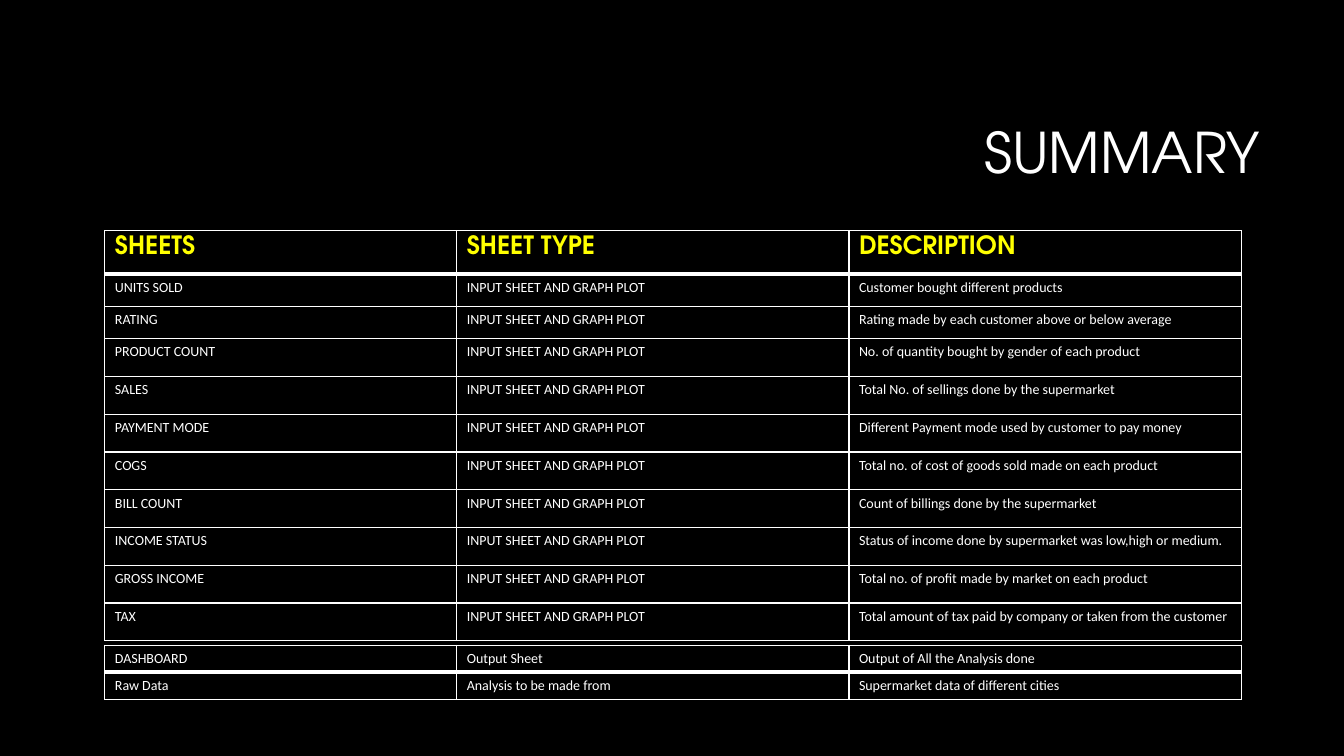
from lxml.etree import SubElement
from pptx import Presentation
from pptx.dml.color import RGBColor
from pptx.enum.text import MSO_ANCHOR, PP_ALIGN
from pptx.oxml.ns import qn
from pptx.util import Inches, Pt

BLACK, WHITE, YELLOW = "000000", "FFFFFF", "FFFF00"
HEADING_FONT, BODY_FONT = "TeX Gyre Adventor", "Calibri"
COLUMN_WIDTHS = [3.49, 3.89, 3.89]
INPUT_TYPE = "INPUT SHEET AND GRAPH PLOT"
HEADINGS = ("SHEETS", "SHEET TYPE", "DESCRIPTION")
INPUT_SHEETS = [
    ("UNITS SOLD", "Customer bought different products"),
    ("RATING", "Rating made by each customer above or below average"),
    ("PRODUCT COUNT", "No. of quantity bought by gender of each product"),
    ("SALES", "Total No. of sellings done by the supermarket"),
    ("PAYMENT MODE", "Different Payment mode used by customer to pay money"),
    ("COGS", "Total no. of cost of goods sold made on each product"),
    ("BILL COUNT", "Count of billings done by the supermarket"),
    ("INCOME STATUS", "Status of income done by supermarket was low,high or medium."),
    ("GROSS INCOME", "Total no. of profit made by market on each product"),
    ("TAX", "Total amount of tax paid by company or taken from the customer"),
]
OTHER_SHEETS = [
    ("DASHBOARD", "Output Sheet", "Output of All the Analysis done"),
    ("Raw Data", "Analysis to be made from", "Supermarket data of different cities"),
]


def color(value):
    """Turn a hex string into a colour."""
    return RGBColor.from_string(value)


def add_run(paragraph, text, font, size, ink, bold=False):
    """Add one formatted run to a paragraph."""
    run = paragraph.add_run()
    run.text = text
    run.font.name = font
    run.font.size = Pt(size)
    run.font.bold = bold
    run.font.color.rgb = color(ink)


def set_borders(cell, bottom, top):
    """Draw the four white borders of a cell, with widths in points."""
    properties = cell._tc.get_or_add_tcPr()
    for side, width in (("L", 1), ("R", 1), ("T", top), ("B", bottom)):
        line = SubElement(properties, qn(f"a:ln{side}"), w=str(Pt(width)))
        fill = SubElement(line, qn("a:solidFill"))
        SubElement(fill, qn("a:srgbClr"), val=WHITE)


def add_title(slide, left, top, width, height):
    """Place the right-aligned slide title in its box."""
    box = slide.shapes.add_textbox(Inches(left), Inches(top), Inches(width), Inches(height))
    frame = box.text_frame
    frame.word_wrap = True
    frame.vertical_anchor = MSO_ANCHOR.MIDDLE
    paragraph = frame.paragraphs[0]
    paragraph.alignment = PP_ALIGN.RIGHT
    paragraph.line_spacing = 0.9
    add_run(paragraph, "SUMMARY", HEADING_FONT, 40, WHITE)


def add_sheet_table(slide, left, top, rows, heights, has_heading):
    """Place a sheet table whose first row ends in a thick rule."""
    table = slide.shapes.add_table(
        len(rows), len(COLUMN_WIDTHS), Inches(left), Inches(top),
        Inches(sum(COLUMN_WIDTHS)), Inches(sum(heights))).table
    table.first_row = table.horz_banding = False
    for column, width in zip(table.columns, COLUMN_WIDTHS):
        column.width = Inches(width)
    for index, (row, texts, height) in enumerate(zip(table.rows, rows, heights)):
        row.height = Inches(height)
        if has_heading and index == 0:
            style = (HEADING_FONT, 18, YELLOW, True)
        else:
            style = (BODY_FONT, 10, WHITE)
        for cell, text in zip(row.cells, texts):
            set_borders(cell, bottom=3 if index == 0 else 1, top=3 if index == 1 else 1)
            cell.fill.solid()
            cell.fill.fore_color.rgb = color(BLACK)
            add_run(cell.text_frame.paragraphs[0], text, *style)


def add_summary_slide(deck):
    """Build the black summary slide with its title and two tables."""
    slide = deck.slides.add_slide(deck.slide_layouts[6])
    slide.background.fill.solid()
    slide.background.fill.fore_color.rgb = color(BLACK)
    add_title(slide, 3.17, 0.84, 9.42, 1.41)
    input_rows = [HEADINGS] + [(name, INPUT_TYPE, about) for name, about in INPUT_SHEETS]
    input_heights = [0.43] + [0.32] * 2 + [0.375] * 8
    add_sheet_table(slide, 1.04, 2.29, input_rows, input_heights, has_heading=True)
    add_sheet_table(slide, 1.04, 6.4, OTHER_SHEETS, [0.27] * 2, has_heading=False)


def main():
    """Create and save the presentation."""
    deck = Presentation()
    deck.slide_width = Inches(13.33)
    deck.slide_height = Inches(7.5)
    add_summary_slide(deck)
    deck.save("out.pptx")


if __name__ == "__main__":
    main()
